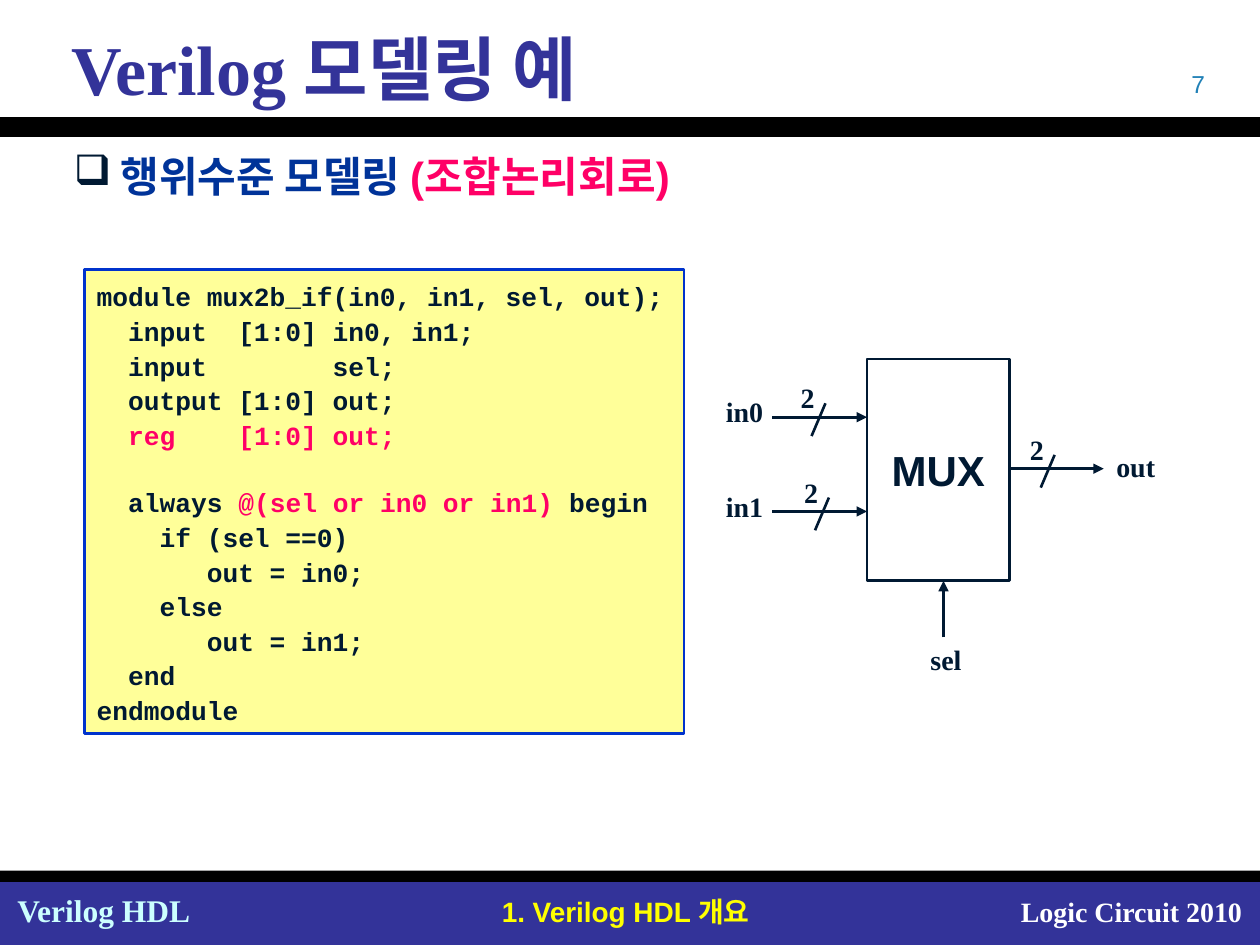
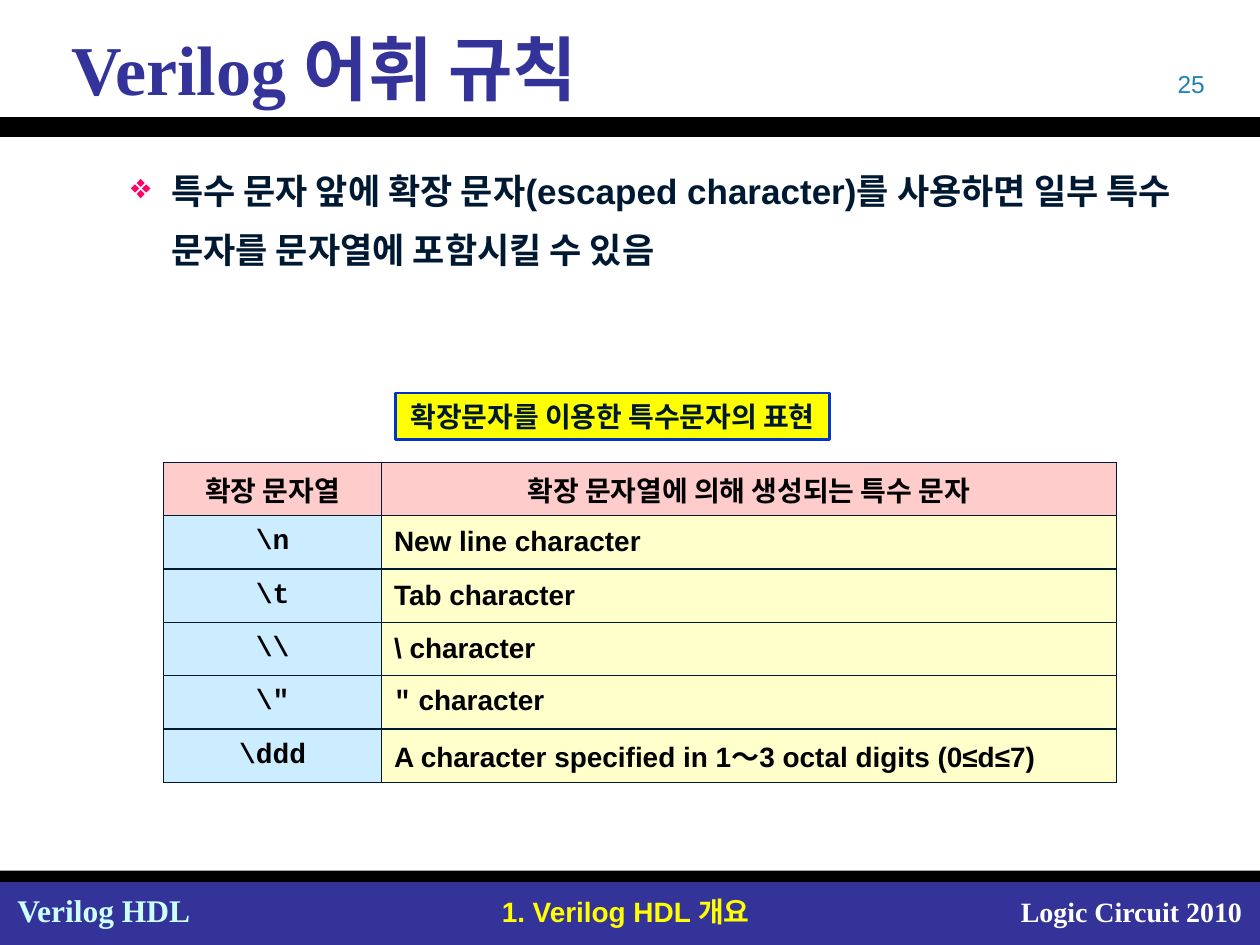
import lxml.etree
import pptx
import pptx.dml.color
import pptx.enum.shapes
import pptx.enum.text
import pptx.oxml.ns
import pptx.util
from dataclasses import dataclass

Cm, Pt = pptx.util.Cm, pptx.util.Pt
ALIGN = pptx.enum.text.PP_ALIGN
ANCHOR = pptx.enum.text.MSO_ANCHOR


@dataclass(frozen=True)
class Theme:
    serif: str = "Times New Roman"
    sans: str = "Arial"
    mono: str = "Courier New"
    ink: str = "001932"
    black: str = "000000"
    indigo: str = "333399"
    heading: str = "003399"
    accent: str = "FF0066"
    frame: str = "0033CC"
    page_number: str = "2181B7"
    footer_left: str = "CCFFFF"
    footer_middle: str = "FFFF00"
    footer_right: str = "FFFFFF"
    code_fill: str = "FFFF99"
    caption_fill: str = "FFFF00"
    header_fill: str = "FFCCCC"
    escape_fill: str = "CCECFF"
    meaning_fill: str = "FFFFCC"
    title_size: float = 40
    heading_size: float = 24
    body_size: float = 20
    footer_size: float = 18
    label_size: float = 16
    code_size: float = 15
    number_size: float = 14
    line_width: float = 1.5
    border_width: float = 0.75


THEME = Theme()

# Content. All positions are in centimetres: left, top, width, height.
BANDS = [
    ((0, 17.78, 25.4, 1.27), THEME.indigo),
    ((0, 2.36, 25.4, 0.4), THEME.black),
    ((0, 17.55, 25.4, 0.23), THEME.black),
]
FOOTERS = [
    ("Verilog HDL", (0.1, 17.83, 4.01, 1.02), ALIGN.LEFT,
     dict(name=THEME.serif, size=THEME.footer_size, color=THEME.footer_left)),
    ("1. Verilog HDL 개요", (8.31, 17.91, 8.61, 0.94), ALIGN.CENTER,
     dict(name=THEME.sans, size=THEME.label_size, color=THEME.footer_middle)),
    ("Logic Circuit 2010", (20.24, 17.91, 5.05, 0.94), ALIGN.RIGHT,
     dict(name=THEME.serif, size=THEME.label_size, color=THEME.footer_right)),
]

MODEL_TITLE, MODEL_NUMBER = "Verilog 모델링 예", "7"
MODEL_HEADING = [("행위수준 모델링 ", THEME.heading), ("(조합논리회로)", THEME.accent)]
MODEL_CODE = [
    "module mux2b_if(in0, in1, sel, out);",
    "  input  [1:0] in0, in1;",
    "  input        sel;",
    "  output [1:0] out;",
    [("  ", THEME.ink), ("reg    [1:0] out;", THEME.accent)],
    [("  always ", THEME.ink), ("@(sel or in0 or in1)", THEME.accent), (" begin", THEME.ink)],
    "    if (sel ==0)",
    "       out = in0;",
    "    else",
    "       out = in1;",
    "  end",
    "endmodule",
]
ALWAYS_LINE = 5
CODE_LINE_GAP = 18.7

MUX_BOX = (17.48, 7.24, 2.87, 4.47)
# label, label left/top/width, wire start, wire end, left of the bus slash
MUX_PORTS = [
    ("in0", (14.63, 7.82, 0.76), (15.57, 8.41), (17.48, 8.41), 16.36),
    ("in1", (14.63, 9.75, 0.76), (15.57, 10.31), (17.48, 10.31), 16.43),
    ("out", (22.5, 8.94, 0.79), (20.35, 9.45), (22.25, 9.45), 20.98),
    ("sel", (18.75, 12.83, 0.64), (19.02, 12.85), (19.02, 11.71), None),
]
BUS_WIDTH = "2"
PORT_LABEL_HEIGHT = 0.81

LEXICAL_TITLE, LEXICAL_NUMBER = "Verilog 어휘 규칙", "25"
LEXICAL_POINT = ("특수 문자 앞에 확장 문자(escaped character)를 사용하면 "
                 "일부 특수 문자를 문자열에 포함시킬 수 있음")
ESCAPE_CAPTION = "확장문자를 이용한 특수문자의 표현"
ESCAPE_HEADER = ("확장 문자열", "확장 문자열에 의해 생성되는 특수 문자")
ESCAPES = [
    (r"\n", "New line character"),
    (r"\t", "Tab character"),
    (r"\\", r"\ character"),
    (r"\"", [('"', THEME.mono), ("\u00a0character".replace("\u00a0", " "), THEME.sans)]),
    (r"\ddd", "A character specified in 1～3 octal digits (0≤d≤7)"),
]
ESCAPE_TABLE = (3.3, 9.32, 19.2, 6.45)
ESCAPE_COLUMNS = (4.39, 14.81)


def rgb(value):
    return pptx.dml.color.RGBColor.from_string(value)


def lengths(values):
    return [Cm(value) for value in values]


def set_attributes(target, values):
    for name, value in values.items():
        setattr(target, name, value)


def add_run(paragraph, text, name, size, color):
    run = paragraph.add_run()
    run.text = text
    set_attributes(run.font, dict(name=name, size=Pt(size), bold=True))
    run.font.color.rgb = rgb(color)
    return run


def add_bullet(paragraph, symbol, color, left, hanging):
    properties = paragraph._p.get_or_add_pPr()
    properties.set("marL", str(Cm(left)))
    properties.set("indent", str(-Cm(hanging)))
    qualified = pptx.oxml.ns.qn
    bullet_color = lxml.etree.SubElement(properties, qualified("a:buClr"))
    lxml.etree.SubElement(bullet_color, qualified("a:srgbClr")).set("val", color)
    lxml.etree.SubElement(properties, qualified("a:buChar")).set("char", symbol)


def write(shape, lines, style, align=ALIGN.LEFT, anchor=ANCHOR.TOP, wrap=True, spacing=None):
    """Fill a shape; each line is a string or a list of (text, color) runs."""
    frame = shape.text_frame
    set_attributes(frame, dict(word_wrap=wrap, vertical_anchor=anchor))
    for index, line in enumerate(lines):
        paragraph = frame.add_paragraph() if index else frame.paragraphs[0]
        set_attributes(paragraph, dict(alignment=align, line_spacing=spacing))
        runs = [(line, style["color"])] if isinstance(line, str) else line
        for text, color in runs:
            add_run(paragraph, text, **{**style, "color": color})
    return frame


def add_text(slide, place, lines, style, **layout):
    return write(slide.shapes.add_textbox(*lengths(place)), lines, style, **layout)


def add_box(slide, place, fill=None, line=None):
    shape = slide.shapes.add_shape(pptx.enum.shapes.MSO_SHAPE.RECTANGLE, *lengths(place))
    shape.shadow.inherit = False
    if fill:
        shape.fill.solid()
        shape.fill.fore_color.rgb = rgb(fill)
    else:
        shape.fill.background()
    if line:
        shape.line.color.rgb = rgb(line)
        shape.line.width = Pt(THEME.line_width)
    else:
        shape.line.fill.background()
    return shape


def add_line(slide, start, end, arrow=False):
    line = slide.shapes.add_connector(
        pptx.enum.shapes.MSO_CONNECTOR.STRAIGHT, *lengths(start + end))
    line.line.color.rgb = rgb(THEME.ink)
    line.line.width = Pt(THEME.line_width)
    if arrow:
        tail = lxml.etree.SubElement(line.line._get_or_add_ln(), pptx.oxml.ns.qn("a:tailEnd"))
        tail.set("type", "triangle")
    lxml.etree.SubElement(line._element.spPr, pptx.oxml.ns.qn("a:effectLst"))


def add_base_slide(presentation, title, number):
    """Add a slide with the shared bands, footers, title and page number."""
    slide = presentation.slides.add_slide(presentation.slide_layouts[6])
    for place, color in BANDS:
        add_box(slide, place, color)
    for text, place, align, style in FOOTERS:
        add_text(slide, place, [text], style, align=align)
    number_style = dict(name=THEME.sans, size=THEME.number_size, color=THEME.page_number)
    frame = add_text(slide, (18.62, 1.27, 5.92, 0.84), [number], number_style, align=ALIGN.RIGHT)
    frame.paragraphs[0].runs[0].font.bold = False
    title_style = dict(name=THEME.serif, size=THEME.title_size, color=THEME.indigo)
    frame = add_text(slide, (0.43, 0.53, 24.56, 1.65), [title], title_style, anchor=ANCHOR.MIDDLE)
    frame.paragraphs[0]._p.get_or_add_pPr().set("marL", str(Cm(0.76)))
    return slide


def add_port_label(slide, text, left, top, width):
    style = dict(name=THEME.serif, size=THEME.label_size, color=THEME.ink)
    frame = add_text(slide, (left, top, width, PORT_LABEL_HEIGHT), [text], style,
                     align=ALIGN.CENTER, anchor=ANCHOR.MIDDLE, wrap=False)
    set_attributes(frame, dict(margin_left=0, margin_right=0, margin_bottom=0))


def add_mux(slide):
    style = dict(name=THEME.sans, size=THEME.heading_size, color=THEME.ink)
    write(add_box(slide, MUX_BOX, line=THEME.ink), ["MUX"], style,
          align=ALIGN.CENTER, anchor=ANCHOR.MIDDLE, wrap=False)
    for name, label_place, start, end, slash_left in MUX_PORTS:
        add_line(slide, start, end, arrow=True)
        add_port_label(slide, name, *label_place)
        if slash_left:
            wire_top = start[1]
            add_line(slide, (slash_left + 0.28, wire_top - 0.28), (slash_left, wire_top + 0.38))
            add_port_label(slide, BUS_WIDTH, slash_left - 0.22, wire_top - 0.86, 0.28)


def build_model_slide(presentation):
    slide = add_base_slide(presentation, MODEL_TITLE, MODEL_NUMBER)
    heading = dict(name=THEME.sans, size=THEME.heading_size, color=THEME.heading)
    frame = add_text(slide, (1.24, 2.9, 13.26, 1.27), [MODEL_HEADING], heading, wrap=False)
    add_bullet(frame.paragraphs[0], "❑", THEME.ink, 0.94, 0.94)
    code = dict(name=THEME.mono, size=THEME.code_size, color=THEME.ink)
    frame = write(add_box(slide, (1.7, 5.44, 12.09, 9.35), THEME.code_fill, THEME.frame),
                  MODEL_CODE, code, anchor=ANCHOR.MIDDLE, spacing=1.1)
    frame.paragraphs[ALWAYS_LINE].space_before = Pt(CODE_LINE_GAP)
    add_mux(slide)


def add_borders(cell):
    properties = cell._tc.get_or_add_tcPr()
    qualified = pptx.oxml.ns.qn
    for side in ("a:lnL", "a:lnR", "a:lnT", "a:lnB"):
        border = lxml.etree.SubElement(properties, qualified(side))
        border.set("w", str(Pt(THEME.border_width)))
        fill = lxml.etree.SubElement(border, qualified("a:solidFill"))
        lxml.etree.SubElement(fill, qualified("a:srgbClr")).set("val", THEME.ink)


def fill_cell(cell, content, font, fill, align):
    add_borders(cell)
    cell.fill.solid()
    cell.fill.fore_color.rgb = rgb(fill)
    cell.vertical_anchor = ANCHOR.MIDDLE
    paragraph = cell.text_frame.paragraphs[0]
    paragraph.alignment = align
    for text, name in [(content, font)] if isinstance(content, str) else content:
        add_run(paragraph, text, name, THEME.label_size, THEME.black)


def add_escape_table(slide):
    rows = [ESCAPE_HEADER, *ESCAPES]
    table = slide.shapes.add_table(len(rows), 2, *lengths(ESCAPE_TABLE)).table
    set_attributes(table, dict(first_row=False, horz_banding=False))
    for column, width in zip(table.columns, ESCAPE_COLUMNS):
        column.width = Cm(width)
    header = [(THEME.sans, THEME.header_fill, ALIGN.CENTER)] * 2
    body = [(THEME.mono, THEME.escape_fill, ALIGN.CENTER),
            (THEME.sans, THEME.meaning_fill, ALIGN.LEFT)]
    for index, row in enumerate(rows):
        for column, (content, look) in enumerate(zip(row, body if index else header)):
            fill_cell(table.cell(index, column), content, *look)


def build_lexical_slide(presentation):
    slide = add_base_slide(presentation, LEXICAL_TITLE, LEXICAL_NUMBER)
    point = dict(name=THEME.sans, size=THEME.body_size, color=THEME.ink)
    frame = add_text(slide, (1.07, 2.95, 23.5, 3.38), [LEXICAL_POINT], point, spacing=1.4)
    add_bullet(frame.paragraphs[0], "❖", THEME.accent, 2.13, 0.81)
    add_escape_table(slide)
    caption = dict(name=THEME.serif, size=THEME.label_size, color=THEME.ink)
    write(add_box(slide, (7.98, 7.92, 8.74, 0.94), THEME.caption_fill, THEME.frame),
          [ESCAPE_CAPTION], caption, align=ALIGN.CENTER, wrap=False)


def main():
    presentation = pptx.Presentation()
    set_attributes(presentation, dict(slide_width=Cm(25.4), slide_height=Cm(19.05)))
    build_model_slide(presentation)
    build_lexical_slide(presentation)
    presentation.save("out.pptx")


if __name__ == "__main__":
    main()
